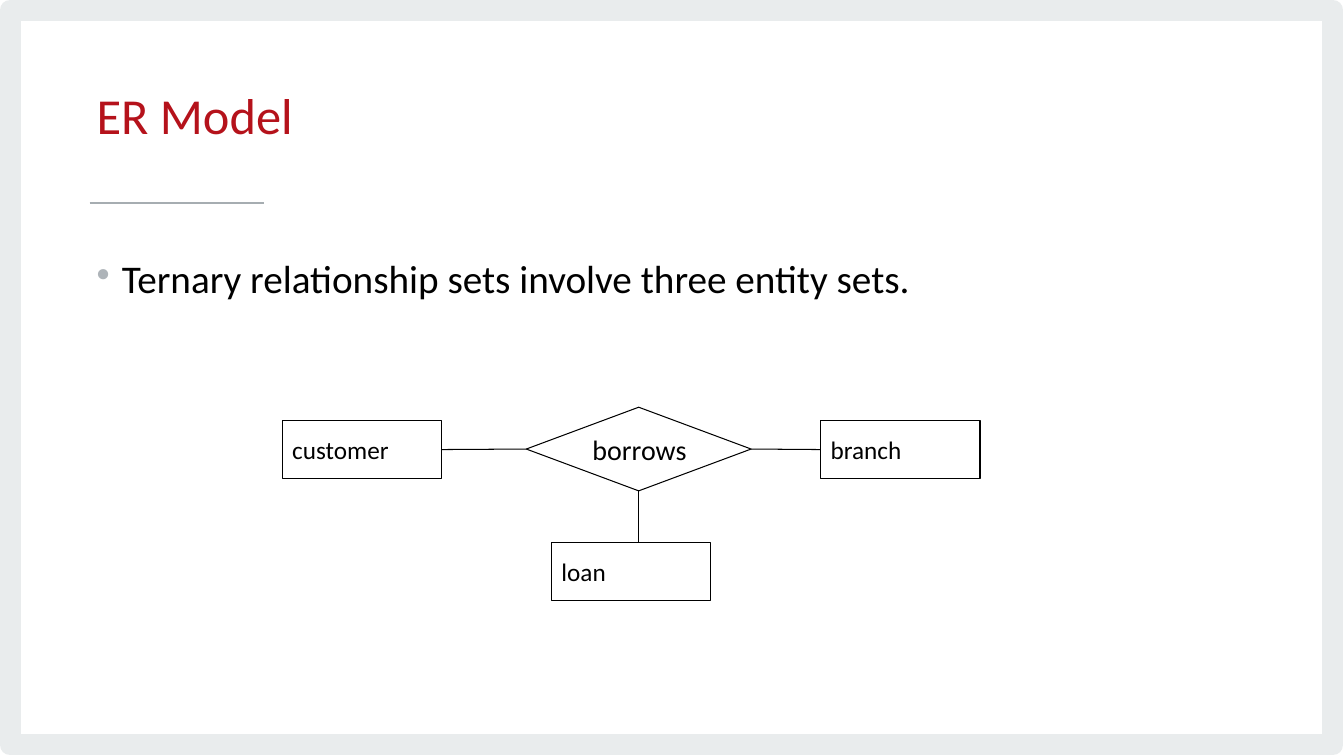
from dataclasses import dataclass

from lxml import etree
from pptx import Presentation
from pptx.dml.color import RGBColor
from pptx.enum.shapes import MSO_CONNECTOR, MSO_SHAPE
from pptx.enum.text import MSO_ANCHOR, PP_ALIGN
from pptx.oxml.ns import qn
from pptx.util import Inches, Pt

RECT, DIAMOND = MSO_SHAPE.RECTANGLE, MSO_SHAPE.DIAMOND
STRAIGHT = MSO_CONNECTOR.STRAIGHT
TOP, MIDDLE = MSO_ANCHOR.TOP, MSO_ANCHOR.MIDDLE
LEFT = PP_ALIGN.LEFT
NORTH, WEST, SOUTH, EAST = range(4)


@dataclass(frozen=True)
class Theme:
    font: str = "Calibri"
    ink: str = "000000"
    red: str = "B5121B"
    frame: str = "E9ECED"
    rule: str = "A6ADB1"
    dot: str = "AEB4B9"
    title: int = 36
    body: int = 28
    verb: int = 20
    label: int = 18
    thin: float = 0.75


THEME = Theme()


def paint(line, color, width):
    line.color.rgb = RGBColor.from_string(color)
    line.width = Pt(width)


def write(frame, text, size, color=THEME.ink, anchor=TOP, wrap=True,
          space=None, bullet=False):
    """Fill a text frame with one formatted paragraph."""
    frame.word_wrap = wrap
    frame.vertical_anchor = anchor
    para = frame.paragraphs[0]
    para.text = text
    para.alignment = LEFT
    if space:
        para.line_spacing = space
    if bullet:
        props = para._p.get_or_add_pPr()
        props.set("marL", str(Inches(0.25)))
        props.set("indent", str(Inches(-0.25)))
        tint = etree.SubElement(props, qn("a:buClr"))
        etree.SubElement(tint, qn("a:srgbClr"), val=THEME.dot)
        etree.SubElement(props, qn("a:buChar"), char="•")
    font = para.runs[0].font
    font.name, font.size = THEME.font, Pt(size)
    font.color.rgb = RGBColor.from_string(color)


def add_text(slide, box, text, size, **style):
    area = slide.shapes.add_textbox(*map(Inches, box))
    write(area.text_frame, text, size, **style)


def add_box(slide, kind, box, color=THEME.ink, width=THEME.thin):
    shape = slide.shapes.add_shape(kind, *map(Inches, box))
    shape.shadow.inherit = False
    shape.fill.background()
    paint(shape.line, color, width)
    return shape


def add_node(slide, kind, box, text, size):
    node = add_box(slide, kind, box)
    write(node.text_frame, text, size, anchor=MIDDLE, wrap=False)
    return node


def add_line(slide, start, end, color=THEME.ink, width=THEME.thin):
    line = slide.shapes.add_connector(STRAIGHT, *start, *end)
    etree.SubElement(line._element.spPr, qn("a:effectLst"))
    paint(line.line, color, width)
    return line


def main():
    deck = Presentation()
    deck.slide_width, deck.slide_height = Inches(13.33), Inches(7.5)
    slide = deck.slides.add_slide(deck.slide_layouts[6])

    # Frame and title rule
    add_box(slide, RECT, (0.1, 0.1, 13.12, 7.29), THEME.frame, 15.11)
    level = Inches(2.01)
    add_line(slide, (Inches(0.89), level), (Inches(2.62), level),
             THEME.rule, 1.33)

    # Title and statement
    add_text(slide, (0.86, 0.52, 9.02, 1.34), "ER Model", THEME.title,
             color=THEME.red, anchor=MIDDLE, space=Pt(34.7))
    add_text(slide, (0.86, 2.53, 10.73, 4.22),
             "Ternary relationship sets involve three entity sets.",
             THEME.body, space=0.9, bullet=True)

    # Entities, evenly spaced, around the relationship
    verb = add_node(slide, DIAMOND, (5.22, 4.04, 2.23, 0.83), "borrows",
                    THEME.verb)
    nodes = [
        add_node(slide, RECT, (2.8 + 2.67 * col, top, 1.58, 0.58), name,
                 THEME.label)
        for col, (name, top) in enumerate(
            [("customer", 4.17), ("loan", 5.38), ("branch", 4.17)])
    ]
    client, loan, branch = nodes

    # Links from the diamond to each entity
    for node, side, port in ((client, WEST, EAST), (branch, EAST, WEST)):
        link = add_line(slide, (0, 0), (0, 0))
        link.begin_connect(verb, side)
        link.end_connect(node, port)
    mid = verb.left + verb.width // 2
    drop = add_line(slide, (mid, verb.top + verb.height), (mid, loan.top))
    drop.begin_connect(verb, SOUTH)

    deck.save("out.pptx")


if __name__ == "__main__":
    main()
